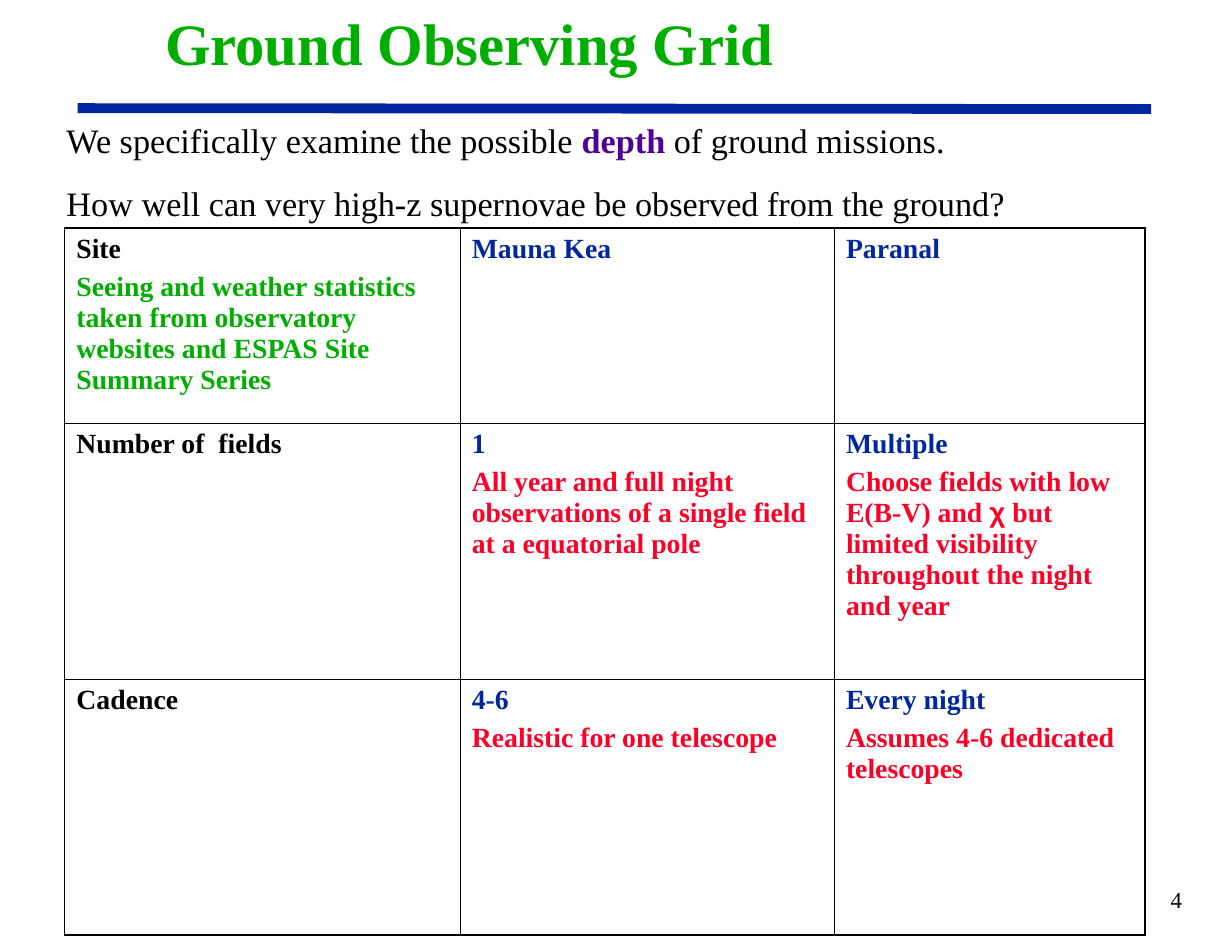
import pptx
import pptx.dml.color
import pptx.enum.shapes
import pptx.enum.text
import pptx.oxml
import pptx.oxml.ns
import pptx.util
from pptx.util import Cm

RGBColor = pptx.dml.color.RGBColor
Align = pptx.enum.text.PP_ALIGN
Anchor = pptx.enum.text.MSO_ANCHOR

BLACK = RGBColor(0x00, 0x00, 0x00)
GREEN = RGBColor(0x00, 0xAE, 0x00)
BLUE = RGBColor(0x00, 0x27, 0x9F)
RED = RGBColor(0xFC, 0x01, 0x28)
PURPLE = RGBColor(0x50, 0x00, 0x93)
SERIF = "Times New Roman"

COLUMN_WIDTHS = [8.56, 8.1, 6.73]
ROW_HEIGHTS = [4.22, 5.54, 5.54]
OUTER_BORDER, INNER_BORDER = 1.08, 0.45

# Each cell is a list of paragraphs; each paragraph is a colour and its text runs.
GRID = [
    [
        [(BLACK, ["Site"]),
         (GREEN, ["Seeing and weather statistics taken from observatory "
                  "websites and ESPAS Site Summary Series"])],
        [(BLUE, ["Mauna Kea"])],
        [(BLUE, ["Paranal"])],
    ],
    [
        [(BLACK, ["Number of  fields"])],
        [(BLUE, ["1"]),
         (RED, ["All year and full night observations of a single field "
                "at a equatorial pole"])],
        [(BLUE, ["Multiple"]),
         (RED, ["Choose fields with low E(B-V) and ", "χ",
                " but limited visibility throughout the night and year"])],
    ],
    [
        [(BLACK, ["Cadence"])],
        [(BLUE, ["4-6"]), (RED, ["Realistic for one telescope"])],
        [(BLUE, ["Every night"]), (RED, ["Assumes 4-6 dedicated telescopes"])],
    ],
]


def add_run(paragraph, text, size, color=BLACK, bold=False, font=SERIF):
    run = paragraph.add_run()
    run.text = text
    run.font.name = font
    run.font.size = pptx.util.Pt(size)
    run.font.bold = bold
    run.font.color.rgb = color


def next_paragraph(text_frame, index, space_before):
    """Return the paragraph at index, spaced from the one above it."""
    if index == 0:
        return text_frame.paragraphs[0]
    paragraph = text_frame.add_paragraph()
    paragraph.space_before = pptx.util.Pt(space_before)
    return paragraph


def add_text_box(slide, left, top, width, height):
    text_frame = slide.shapes.add_textbox(left, top, width, height).text_frame
    text_frame.word_wrap = True
    return text_frame


def add_title(slide, left, top, width, height):
    title = slide.shapes.title
    title.left, title.top, title.width, title.height = left, top, width, height
    title.text_frame.vertical_anchor = Anchor.MIDDLE
    paragraph = title.text_frame.paragraphs[0]
    paragraph.alignment = Align.CENTER
    paragraph.line_spacing = 0.85
    add_run(paragraph, "Ground Observing Grid", 36, GREEN, bold=True)


def add_rule(slide, left, top, width, rise):
    """Draw the thick, very slightly sloping line under the title."""
    rule = slide.shapes.add_connector(
        pptx.enum.shapes.MSO_CONNECTOR.STRAIGHT,
        left + width, top + rise, left, top)
    rule.line.color.rgb = BLUE
    rule.line.width = pptx.util.Pt(6)
    properties = rule.element.spPr
    properties.append(pptx.oxml.parse_xml(
        f"<a:effectLst {pptx.oxml.ns.nsdecls('a')}/>"))


def add_introduction(slide, left, top, width, height):
    text_frame = add_text_box(slide, left, top, width, height)
    paragraph = next_paragraph(text_frame, 0, 0)
    add_run(paragraph, "We specifically examine the possible ", 21)
    add_run(paragraph, "depth", 21, PURPLE, bold=True)
    add_run(paragraph, " of ground missions.", 21)
    paragraph = next_paragraph(text_frame, 1, 13.1)
    add_run(paragraph, "How well can very high-z supernovae be observed "
                       "from the ground?", 21)


def set_borders(cell, row, column):
    """Give a cell thin borders, with heavier ones on the table's edge."""
    on_edge = {
        "lnL": column == 0,
        "lnR": column == len(COLUMN_WIDTHS) - 1,
        "lnT": row == 0,
        "lnB": row == len(ROW_HEIGHTS) - 1,
    }
    properties = cell._tc.get_or_add_tcPr()
    for position, (tag, outer) in enumerate(on_edge.items()):
        width = pptx.util.Pt(OUTER_BORDER if outer else INNER_BORDER)
        properties.insert(position, pptx.oxml.parse_xml(
            f'<a:{tag} {pptx.oxml.ns.nsdecls("a")} w="{width}">'
            f'<a:solidFill><a:srgbClr val="{BLACK}"/></a:solidFill></a:{tag}>'))


def fill_cell(cell, paragraphs):
    cell.fill.background()
    cell.vertical_anchor = Anchor.TOP
    for index, (color, texts) in enumerate(paragraphs):
        paragraph = next_paragraph(cell.text_frame, index, 4.2)
        for text in texts:
            font = "Arial" if text == "χ" else SERIF
            add_run(paragraph, text, 17, color, bold=True, font=font)


def add_grid(slide, left, top):
    table = slide.shapes.add_table(
        len(ROW_HEIGHTS), len(COLUMN_WIDTHS), left, top,
        Cm(sum(COLUMN_WIDTHS)), Cm(sum(ROW_HEIGHTS))).table
    table.first_row = False
    table.horz_banding = False
    for column, width in zip(table.columns, COLUMN_WIDTHS):
        column.width = Cm(width)
    for row, height in zip(table.rows, ROW_HEIGHTS):
        row.height = Cm(height)
    for row, cells in enumerate(GRID):
        for column, paragraphs in enumerate(cells):
            cell = table.cell(row, column)
            fill_cell(cell, paragraphs)
            set_borders(cell, row, column)


def add_page_number(slide, left, top, width, height):
    text_frame = add_text_box(slide, left, top, width, height)
    paragraph = text_frame.paragraphs[0]
    paragraph.alignment = Align.RIGHT
    add_run(paragraph, "4", 14)


def main():
    presentation = pptx.Presentation()
    presentation.slide_width = Cm(26.67)
    presentation.slide_height = Cm(20.32)
    title_only = presentation.slide_layouts[5]
    slide = presentation.slides.add_slide(title_only)
    add_rule(slide, Cm(1.68), Cm(2.34), Cm(23.24), Cm(0.02))
    add_title(slide, Cm(0), Cm(0), Cm(20.32), Cm(2.06))
    add_grid(slide, Cm(1.4), Cm(4.93))
    add_introduction(slide, Cm(1.19), Cm(2.46), Cm(23.88), Cm(2.51))
    add_page_number(slide, Cm(20.12), Cm(19.05), Cm(5.72), Cm(1.27))
    presentation.save("out.pptx")


if __name__ == "__main__":
    main()
